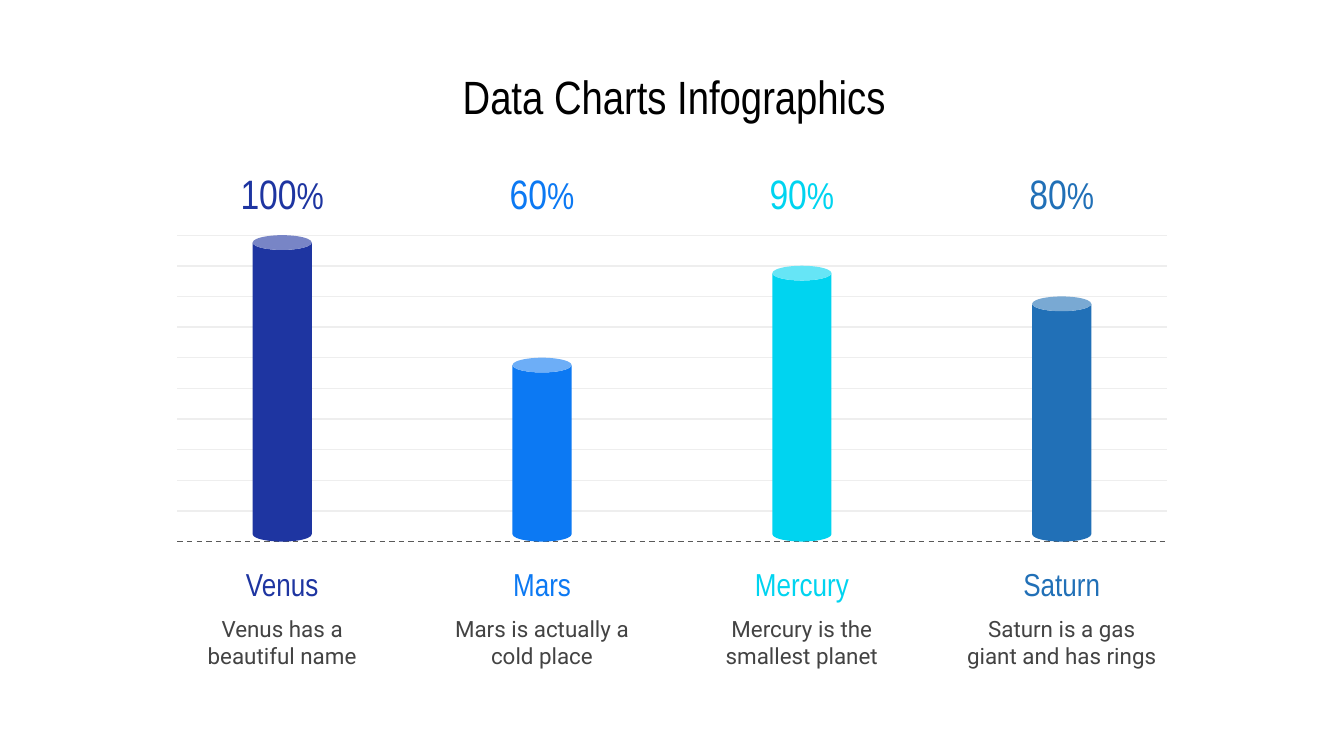
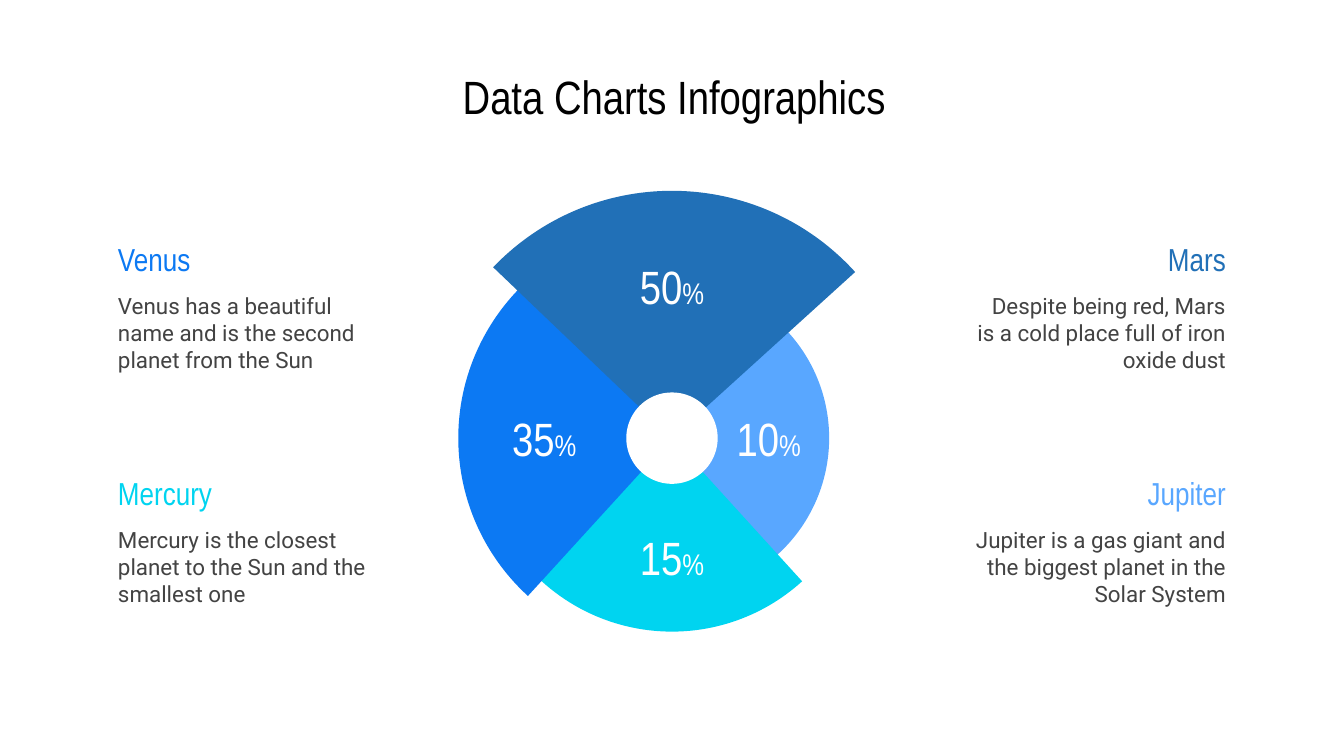
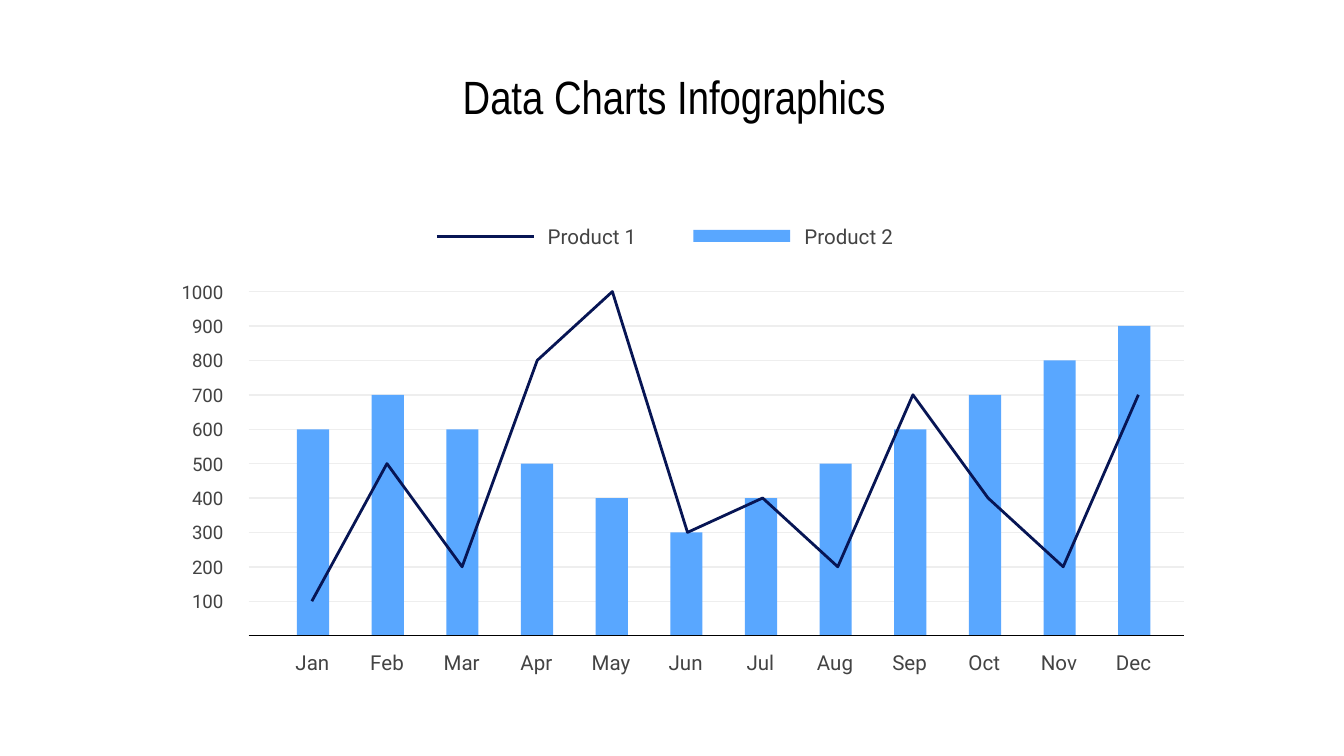
from lxml import etree
from pptx import Presentation
from pptx.dml.color import RGBColor
from pptx.enum.dml import MSO_LINE
from pptx.enum.shapes import MSO_CONNECTOR, MSO_SHAPE
from pptx.enum.text import MSO_ANCHOR, PP_ALIGN
from pptx.oxml.ns import qn
from pptx.util import Inches, Pt

# Shared look
HEADING_FONT, BODY_FONT = "Arial Narrow", "Roboto"
BLACK, WHITE, GREY, GRID, DASH = "000000", "FFFFFF", "434343", "EEEEEE", "595959"
NAVY, INDIGO, BLUE = "071554", "1E35A1", "0C79F3"
SKY, CYAN, STEEL = "59A7FF", "00D4F0", "2170B7"
TITLE = "Data Charts Infographics"
TITLE_BOX = (0.53, 0.45, 8.97, 0.53)
LEFT, CENTER, RIGHT = PP_ALIGN.LEFT, PP_ALIGN.CENTER, PP_ALIGN.RIGHT


def rgb(color):
    return RGBColor.from_string(color)


def spread(first, last, count):
    """Return evenly spaced positions, both ends included."""
    return [first + (last - first) * i / (count - 1) for i in range(count)]


# Text
def fill_text(shape, runs, color, font, align):
    frame = shape.text_frame
    frame.word_wrap = True
    frame.vertical_anchor = MSO_ANCHOR.MIDDLE
    frame.margin_left = frame.margin_right = Inches(0.1)
    frame.margin_top = frame.margin_bottom = Inches(0.1)
    paragraph = frame.paragraphs[0]
    paragraph.alignment = align
    for text, size in runs:
        run = paragraph.add_run()
        run.text = text
        run.font.name, run.font.size = font, Pt(size)
        run.font.color.rgb = rgb(color)


def add_text(slide, box, runs, color=GREY, font=BODY_FONT, align=CENTER):
    text_box = slide.shapes.add_textbox(*map(Inches, box))
    fill_text(text_box, runs, color, font, align)


def add_percent(slide, center_x, top, height, value, sizes, color):
    runs = zip((str(value), "%"), sizes)
    add_text(slide, (center_x - 0.48, top, 0.96, height), runs, color, HEADING_FONT)


# Shapes and lines
def add_solid(slide, kind, box, color, adjustments=()):
    shape = slide.shapes.add_shape(kind, *map(Inches, box))
    shape.shadow.inherit = False
    shape.fill.solid()
    shape.fill.fore_color.rgb = rgb(color)
    shape.line.fill.background()
    for i, value in enumerate(adjustments):
        shape.adjustments[i] = value


def add_rule(slide, left, right, y, color, width=0.75, dash=None):
    rule = slide.shapes.add_connector(
        MSO_CONNECTOR.STRAIGHT, Inches(left), Inches(y), Inches(right), Inches(y))
    rule.line.color.rgb = rgb(color)
    rule.line.width = Pt(width)
    if dash:
        rule.line.dash_style = dash
    etree.SubElement(rule._element.spPr, qn("a:effectLst"))


def add_grid(slide, left, right, top, base):
    """Draw ten gridlines, leaving the base for the axis."""
    for y in spread(top, base, 11)[:-1]:
        add_rule(slide, left, right, y, GRID)


def new_slide(prs):
    slide = prs.slides.add_slide(prs.slide_layouts[5])
    title = slide.shapes.title
    title.left, title.top, title.width, title.height = map(Inches, TITLE_BOX)
    fill_text(title, [(TITLE, 25)], BLACK, HEADING_FONT, CENTER)
    return slide


# Slide 1: cylinders
def add_cylinder(slide, center, top, base, planet, percent, fact, color):
    height = (base - top) * percent / 100
    add_percent(slide, center, top - 0.48, 0.34, percent, (22, 20), color)
    add_solid(slide, MSO_SHAPE.CAN, (center - 0.22, base - height, 0.44, height),
              color, [0.25])
    add_text(slide, (center - 0.69, base + 0.17, 1.38, 0.29), [(planet, 17)],
             color, HEADING_FONT)
    add_text(slide, (center - 0.83, base + 0.45, 1.66, 0.6), [(fact, 12)])


def build_cylinders(prs):
    slide = new_slide(prs)
    left, right, top, base = 1.32, 8.68, 1.75, 4.03
    planets = [
        ("Venus", 100, "Venus has a beautiful name", INDIGO),
        ("Mars", 60, "Mars is actually a cold place", BLUE),
        ("Mercury", 90, "Mercury is the smallest planet", CYAN),
        ("Saturn", 80, "Saturn is a gas giant and has rings", STEEL),
    ]
    add_grid(slide, left, right, top, base)
    add_rule(slide, left, right, base, DASH, dash=MSO_LINE.DASH)
    for center, planet in zip(spread(2.1, 7.9, len(planets)), planets):
        add_cylinder(slide, center, top, base, *planet)


# Slide 2: wheel of sectors
def add_disc(slide, kind, center, radius, color, adjustments=()):
    x, y = center
    box = (x - radius, y - radius, 2 * radius, 2 * radius)
    add_solid(slide, kind, box, color, adjustments)


def add_wheel(slide, center):
    # Radius, start and end in degrees, percent, label centre from the hub
    sectors = [
        (1.17, 316.7, 48.36, 10, (0.72, 0), SKY),
        (1.44, 47.73, 133.96, 15, (0, 0.89), CYAN),
        (1.59, 132.38, 225, 35, (-0.95, 0), BLUE),
        (1.84, 223.7, 317.8, 50, (0, -1.13), STEEL),
    ]
    for radius, start, end, percent, (dx, dy), color in sectors:
        # Angles are stored in 60000ths, adjustments in 100000ths
        add_disc(slide, MSO_SHAPE.PIE, center, radius, color, [start * 0.6, end * 0.6])
        add_percent(slide, center[0] + dx, center[1] + dy - 0.29, 0.57,
                    percent, (25, 16), WHITE)
    add_disc(slide, MSO_SHAPE.OVAL, center, 0.34, WHITE)


def add_planet_note(slide, left, top, planet, fact, color, align):
    add_text(slide, (left, top, 2.06, 0.29), [(planet, 17)], color, HEADING_FONT, align)
    add_text(slide, (left, top + 0.28, 2.06, 0.83), [(fact, 12)], align=align)


def build_wheel(prs):
    slide = new_slide(prs)
    add_wheel(slide, (5, 3.26))
    columns = [
        (0.78, LEFT, [
            ("Venus", "Venus has a beautiful name and is the second planet from the Sun", BLUE),
            ("Mercury", "Mercury is the closest planet to the Sun and the smallest one", CYAN),
        ]),
        (7.16, RIGHT, [
            ("Mars", "Despite being red, Mars is a cold place full of iron oxide dust", STEEL),
            ("Jupiter", "Jupiter is a gas giant and the biggest planet in the Solar System", SKY),
        ]),
    ]
    for left, align, notes in columns:
        for top, note in zip((1.78, 3.52), notes):
            add_planet_note(slide, left, top, *note, align)


# Slide 3: monthly bars with a line over them
def add_monthly_plot(slide, left, right, top, base):
    months = ["Jan", "Feb", "Mar", "Apr", "May", "Jun",
              "Jul", "Aug", "Sep", "Oct", "Nov", "Dec"]
    product_1 = [100, 500, 200, 800, 1000, 300, 400, 200, 700, 400, 200, 700]
    product_2 = [600, 700, 600, 500, 400, 300, 400, 500, 600, 700, 800, 900]
    centers = spread(left + 0.48, right - 0.37, len(months))
    trend_xs = spread(left + 0.47, right - 0.34, len(months))

    def value_y(value):
        return base - (base - top) * value / 1000

    add_grid(slide, left, right, top, base)
    for center, value in zip(centers, product_2):
        y = value_y(value)
        add_solid(slide, MSO_SHAPE.RECTANGLE, (center - 0.12, y, 0.24, base - y), SKY)
    for value in range(100, 1001, 100):
        add_text(slide, (left - 0.66, value_y(value) - 0.11, 0.57, 0.22),
                 [(str(value), 10)], align=RIGHT)
    add_rule(slide, left, right, base, BLACK)
    for center, month in zip(centers, months):
        add_text(slide, (center - 0.29, base + 0.09, 0.57, 0.22), [(month, 11)])

    points = [(Inches(x), Inches(value_y(v))) for x, v in zip(trend_xs, product_1)]
    builder = slide.shapes.build_freeform(*points[0])
    builder.add_line_segments(points[1:], close=False)
    trend = builder.convert_to_shape()
    trend.shadow.inherit = False
    trend.fill.background()
    trend.line.color.rgb = rgb(NAVY)
    trend.line.width = Pt(1.5)


def add_legend(slide, left, middle):
    key, second = 0.72, left + 1.91
    add_rule(slide, left, left + key, middle, NAVY, 1.5)
    add_solid(slide, MSO_SHAPE.RECTANGLE, (second, middle - 0.05, key, 0.09), SKY)
    for start, product in ((left, "Product 1"), (second, "Product 2")):
        add_text(slide, (start + key, middle - 0.11, 0.87, 0.22), [(product, 11)])


def build_monthly(prs):
    slide = new_slide(prs)
    add_monthly_plot(slide, 1.85, 8.81, 2.17, 4.73)
    add_legend(slide, 3.25, 1.76)


def main():
    prs = Presentation()
    # Widescreen, 16 to 9
    prs.slide_width, prs.slide_height = Inches(10), Inches(10 * 9 / 16)
    build_cylinders(prs)
    build_wheel(prs)
    build_monthly(prs)
    prs.save("out.pptx")


if __name__ == "__main__":
    main()
